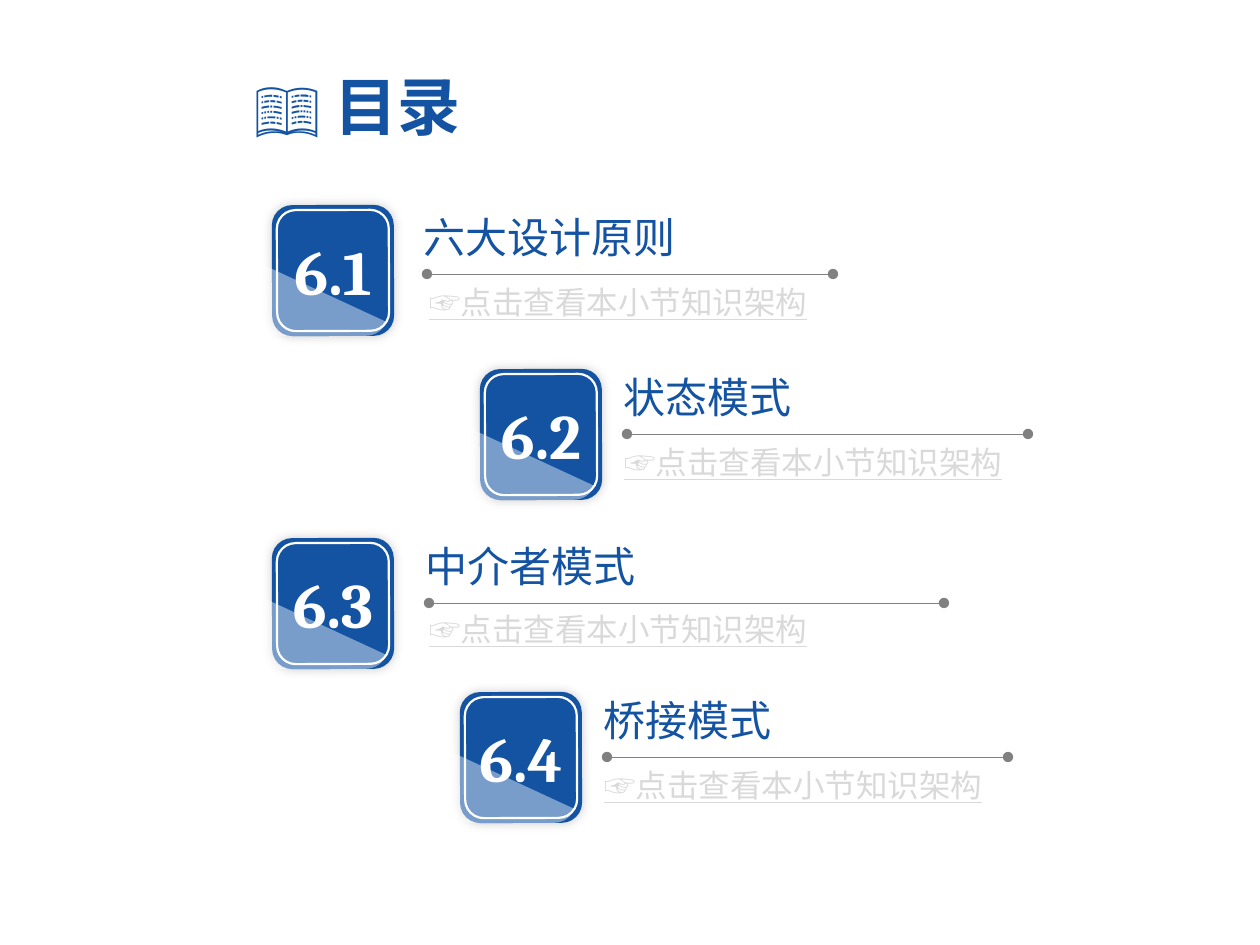
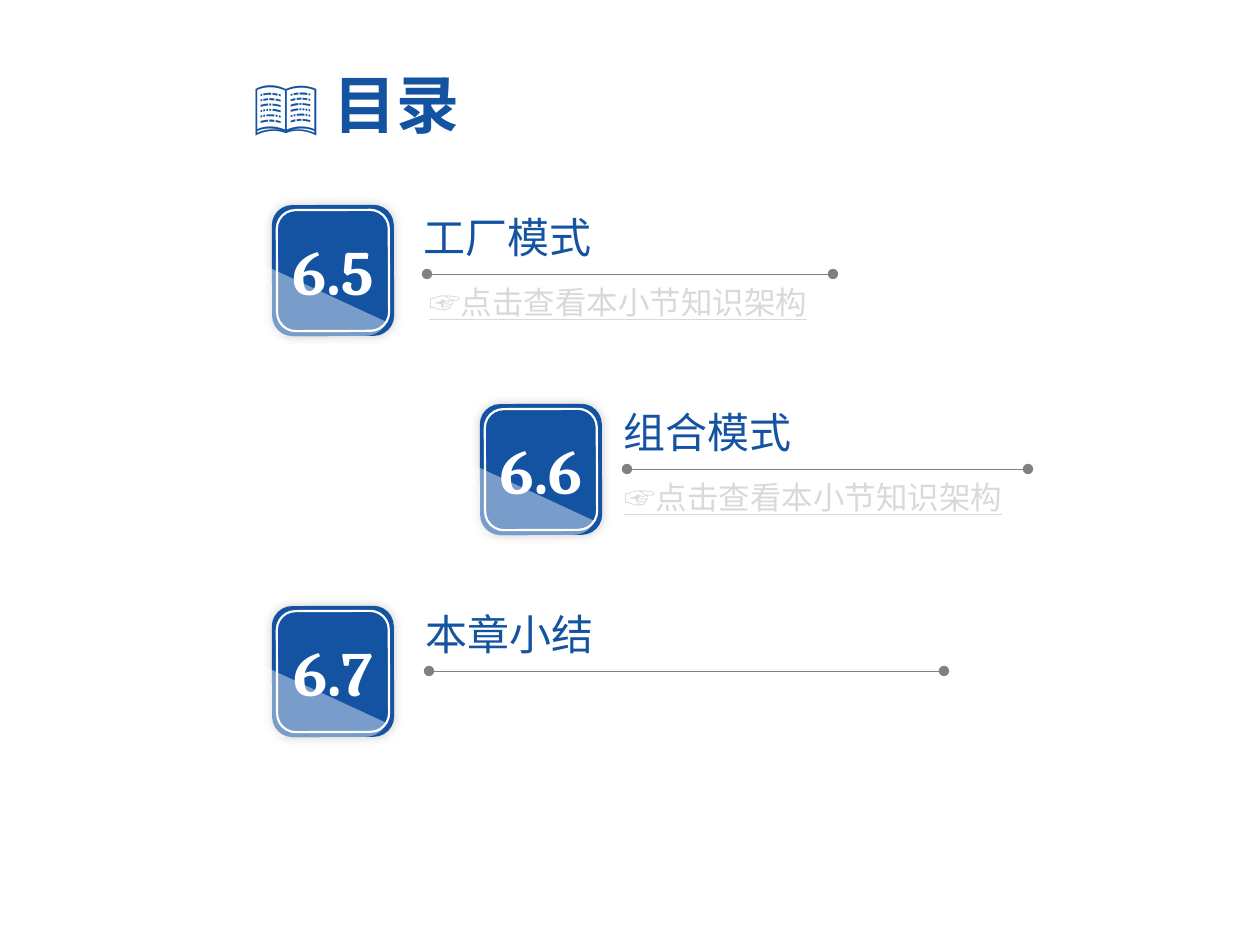
from lxml import etree
from pptx import Presentation, util as u
from pptx.dml.color import RGBColor
from pptx.enum import dml, shapes, text
from pptx.oxml.ns import qn

COLORS = {"blue": "1353A2", "white": "FFFFFF", "rule": "808080", "hint": "D9D9D9", "shadow": "000000"}
CJK_FONT, NUMBER_FONT = "Noto Sans CJK SC", "Cambria"
HINT = "☞点击查看本小节知识架构"

# Offsets of each row's parts from the top left corner of its card
LAYOUTS = {
    "first": {"heading": (139, 0), "rule": 406, "hint": (145, 72)},
    "right": {"heading": (131, -4), "rule": 401, "hint": (132, 68)},
    "wide": {"heading": (141, -4), "rule": 515, "hint": (145, 66)},
}
# Title position, then rows: number, heading, layout, card corner, has hint
SLIDES = [
    ((242, 52), [
        ("6.1", "六大设计原则", "first", (272, 205), True),
        ("6.2", "状态模式", "right", (480, 369), True),
        ("6.3", "中介者模式", "wide", (272, 538), True),
        ("6.4", "桥接模式", "right", (460, 692), True),
    ]),
    ((241, 50), [
        ("6.5", "工厂模式", "first", (272, 205), True),
        ("6.6", "组合模式", "right", (480, 404), True),
        ("6.7", "本章小结", "wide", (272, 606), False),
    ]),
]

CARD_SIZE, FRAME_INSET, TILT = (122, 131), 5, 359.8
GLOSS_RIGHT = [(114, 117), (112, 125), (103, 131), (94, 131)]
GLOSS_LEFT = [(12, 131), (1, 131), (-8, 124), (-8, 115)]
GLOSS_START, GLOSS_ALPHA = (-8, 60), 43


def px(value):
    return u.Emu(round(value * 914400 / 126))


def rgb(name):
    return RGBColor.from_string(COLORS[name])


def add_xml(parent, tag, **attributes):
    return etree.SubElement(parent, qn(tag), attributes)


def style(paragraph, size, color, font_name=CJK_FONT, bold=None):
    font = paragraph.font
    font.size, font.name, font.bold = u.Pt(size), font_name, bold
    font.color.rgb = rgb(color)
    add_xml(paragraph._p.pPr.find(qn("a:defRPr")), "a:ea", typeface=font_name)


def add_text(slide, left, top, width, height, wrap=True):
    """Add an empty text box and return its frame and first paragraph."""
    frame = slide.shapes.add_textbox(px(left), px(top), px(width), px(height)).text_frame
    frame.word_wrap = wrap
    return frame, frame.paragraphs[0]


def add_title(slide, left, top):
    frame, paragraph = add_text(slide, left, top, 709, 106)
    frame.vertical_anchor = text.MSO_ANCHOR.MIDDLE
    paragraph.add_run().text = "📖"
    label = paragraph.add_run()
    label.text = " 目录"
    label.font.bold = True
    style(paragraph, 36, "blue")
    properties = paragraph._p.pPr
    properties.set("marL", str(px(78)))
    properties.set("indent", str(px(-78)))


def add_rule(slide, left, top, length):
    rule = slide.shapes.add_connector(
        shapes.MSO_CONNECTOR.STRAIGHT, px(left), px(top), px(left + length), px(top))
    rule.line.color.rgb = rgb("rule")
    rule.line.width = u.Pt(0.25)
    rule.line.dash_style = dml.MSO_LINE.ROUND_DOT
    line = rule.line._get_or_add_ln()
    for end in ("a:headEnd", "a:tailEnd"):
        add_xml(line, end, type="oval")
    add_xml(rule._element.spPr, "a:effectLst")


def add_rounded(group, left, top, width, height):
    shape = group.shapes.add_shape(
        shapes.MSO_SHAPE.ROUNDED_RECTANGLE, px(left), px(top), px(width), px(height))
    shape.shadow.inherit = False
    shape.rotation = TILT
    return shape


def bezier(points, steps=8):
    """Return points along a cubic curve."""
    for step in range(steps + 1):
        t = step / steps
        weights = ((1 - t) ** 3, 3 * t * (1 - t) ** 2, 3 * t * t * (1 - t), t ** 3)
        yield tuple(sum(w * p[axis] for w, p in zip(weights, points)) for axis in (0, 1))


def add_gloss(group, left, top):
    outline = [GLOSS_START, *bezier(GLOSS_RIGHT), *bezier(GLOSS_LEFT)]
    points = [(px(left + x), px(top + y)) for x, y in outline]
    builder = group.shapes.build_freeform(*points[0])
    builder.add_line_segments(points[1:], close=True)
    gloss = builder.convert_to_shape()
    gloss.shadow.inherit = False
    gloss.rotation = TILT
    gloss.line.fill.background()
    gloss.fill.solid()
    gloss.fill.fore_color.rgb = rgb("white")
    color = gloss._element.spPr.find(qn("a:solidFill"))[0]
    add_xml(color, "a:alpha", val=str(GLOSS_ALPHA * 1000))


def add_card(slide, number, left, top):
    group = slide.shapes.add_group_shape()
    width, height = CARD_SIZE
    card = add_rounded(group, left, top, width, height)
    card.fill.solid()
    card.fill.fore_color.rgb = rgb("blue")
    card.line.fill.background()
    effects = card._element.spPr.find(qn("a:effectLst"))
    shadow = add_xml(effects, "a:outerShdw", blurRad=str(u.Pt(6)), dist="0", dir="0",
                     algn="ctr", rotWithShape="0")
    add_xml(add_xml(shadow, "a:srgbClr", val=COLORS["shadow"]), "a:alpha", val="20000")
    card.text_frame.vertical_anchor = text.MSO_ANCHOR.MIDDLE
    paragraph = card.text_frame.paragraphs[0]
    paragraph.text = number
    paragraph.alignment = text.PP_ALIGN.CENTER
    style(paragraph, 36, "white", NUMBER_FONT, True)

    frame = add_rounded(group, left + FRAME_INSET, top + FRAME_INSET,
                        width - 2 * FRAME_INSET, height - 2 * FRAME_INSET)
    frame.fill.background()
    frame.line.color.rgb = rgb("white")
    frame.line.width = u.Pt(1.25)
    add_gloss(group, left, top)


def add_row(slide, number, heading, layout_name, corner, has_hint):
    layout = LAYOUTS[layout_name]
    left, top = (a + b for a, b in zip(corner, layout["heading"]))
    add_rule(slide, left + 16, top + 69, layout["rule"])
    frame, paragraph = add_text(slide, left, top, 42 * len(heading) + 27, 63, wrap=False)
    frame.auto_size = text.MSO_AUTO_SIZE.SHAPE_TO_FIT_TEXT
    paragraph.text = heading
    style(paragraph, 24, "blue")
    add_card(slide, number, *corner)
    if has_hint:
        left, top = (a + b for a, b in zip(corner, layout["hint"]))
        frame, paragraph = add_text(slide, left, top, 417, 50)
        frame.auto_size = text.MSO_AUTO_SIZE.SHAPE_TO_FIT_TEXT
        paragraph.text = HINT
        style(paragraph, 18, "hint")
        paragraph.font.underline = True


def main():
    presentation = Presentation()
    presentation.slide_width, presentation.slide_height = px(1260), px(945)
    for title_corner, rows in SLIDES:
        slide = presentation.slides.add_slide(presentation.slide_layouts[6])
        add_title(slide, *title_corner)
        for row in rows:
            add_row(slide, *row)
    presentation.save("out.pptx")


if __name__ == "__main__":
    main()
